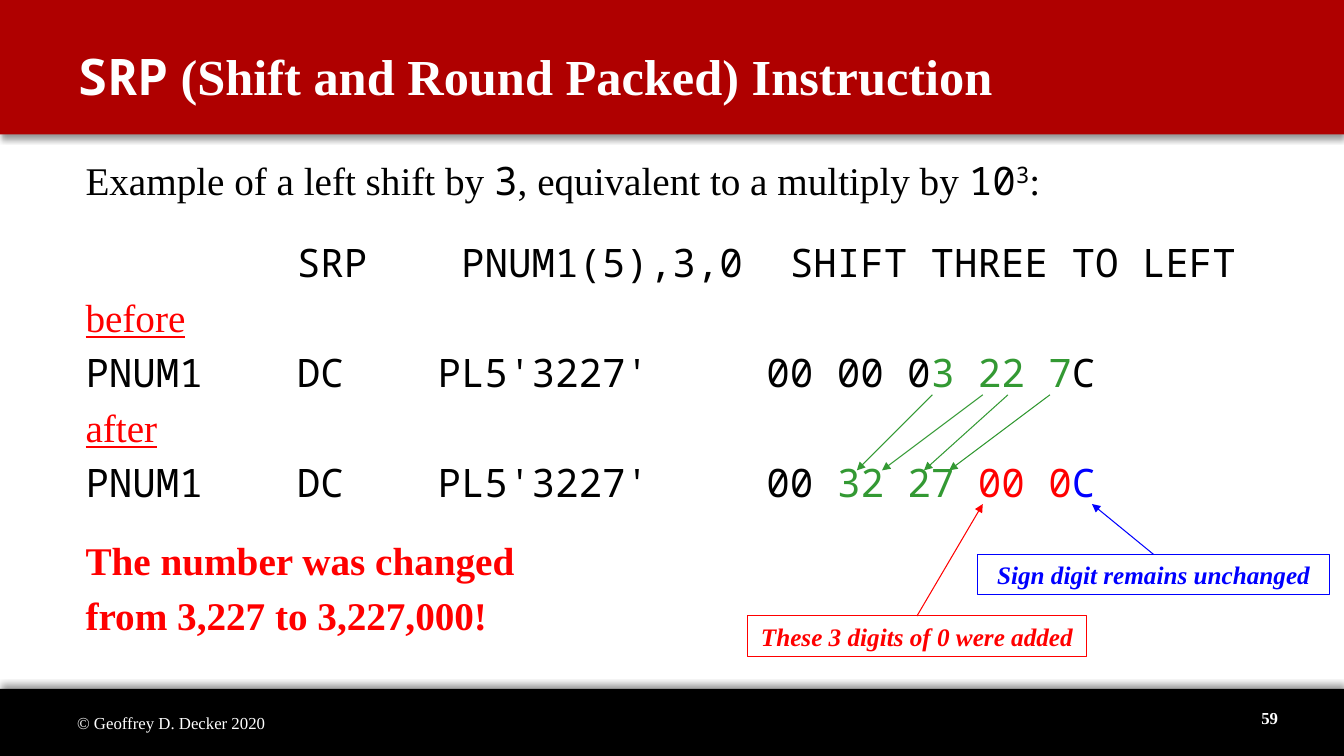
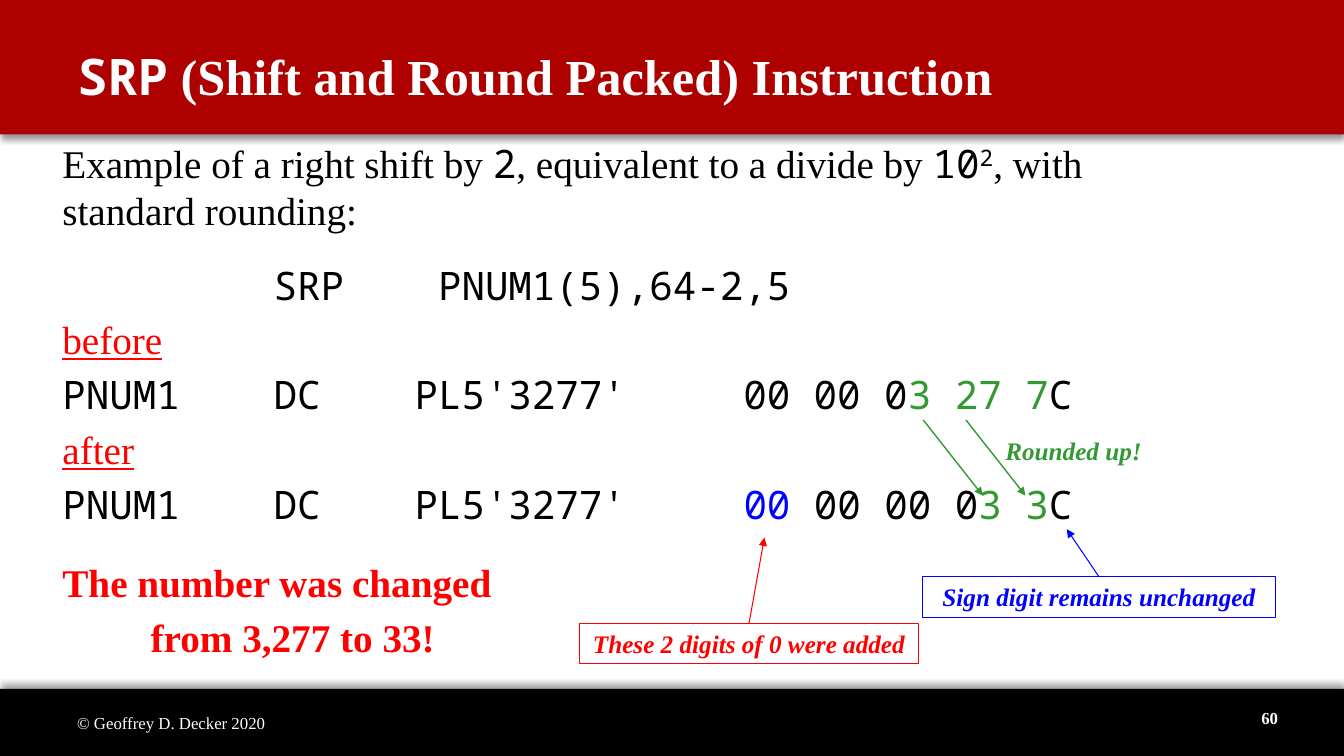
from lxml.etree import SubElement
from pptx import Presentation
from pptx.dml.color import RGBColor
from pptx.enum.shapes import MSO_CONNECTOR, MSO_SHAPE
from pptx.enum.text import MSO_ANCHOR, MSO_AUTO_SIZE, PP_ALIGN
from pptx.oxml.ns import qn
from pptx.util import Pt

BLACK = RGBColor(0x00, 0x00, 0x00)
WHITE = RGBColor(0xFF, 0xFF, 0xFF)
BAND_RED = RGBColor(0xAF, 0x00, 0x00)
RED = RGBColor(0xFF, 0x00, 0x00)
GREEN = RGBColor(0x33, 0x99, 0x33)
BLUE = RGBColor(0x00, 0x00, 0xFF)

SERIF, MONO = "Times New Roman", "Noto Sans Mono"
SLIDE_W, SLIDE_H = 960, 540
BODY_SIZE = 28
LINE_PITCH = 33.6
PARA_GAP = 5.6
CALLOUT_H = 28.8

# Run formats
PROSE = {"name": SERIF, "size": Pt(BODY_SIZE), "color": BLACK}
CODE = {**PROSE, "name": MONO}
POWER = {**CODE, "baseline": 30000}
STAGE = {**PROSE, "color": RED, "underline": True}
RESULT = {**PROSE, "color": RED, "bold": True}
TITLE = {"name": SERIF, "size": Pt(36), "color": WHITE, "bold": True}
FOOTER = {"name": SERIF, "size": Pt(12), "color": WHITE}
CALLOUT = {"name": SERIF, "size": Pt(18), "bold": True, "italic": True}


def code(text, color=BLACK):
    return text, {**CODE, "color": color}


def gap(size):
    """Space before a paragraph that starts a new group."""
    return 1.4 * size + PARA_GAP


def add_runs(paragraph, runs):
    for text, style in runs:
        if text == "\n":
            paragraph.add_line_break()
            continue
        run = paragraph.add_run()
        run.text = text
        for key, value in style.items():
            if key == "color":
                run.font.color.rgb = value
            elif key == "baseline":
                run.font._element.set("baseline", str(value))
            else:
                setattr(run.font, key, value)


def place(shape, box):
    for side, value in zip(("left", "top", "width", "height"), box):
        setattr(shape, side, Pt(value))


def add_text(slide, box, runs=(), align=PP_ALIGN.LEFT, anchor=MSO_ANCHOR.MIDDLE):
    text_box = slide.shapes.add_textbox(*map(Pt, box))
    frame = text_box.text_frame
    frame.word_wrap = True
    frame.vertical_anchor = anchor
    frame.paragraphs[0].alignment = align
    add_runs(frame.paragraphs[0], runs)
    return frame


def add_band(slide, box, color, shadow_angle):
    band = slide.shapes.add_shape(MSO_SHAPE.RECTANGLE, *map(Pt, box))
    band.fill.solid()
    band.fill.fore_color.rgb = color
    band.line.fill.background()
    band.shadow.inherit = False
    effects = band._element.spPr.find(qn("a:effectLst"))
    shadow = SubElement(effects, qn("a:outerShdw"), blurRad=str(Pt(4)),
                        dist=str(Pt(3)), dir=str(shadow_angle * 60000),
                        algn="ctr", rotWithShape="0")
    tint = SubElement(shadow, qn("a:srgbClr"), val=str(BLACK))
    SubElement(tint, qn("a:alpha"), val="40000")


def add_frame(slide, number):
    """Bands, title and footer shared by all slides."""
    add_band(slide, (0, 492, SLIDE_W, 48), BLACK, 270)
    add_band(slide, (0, 0, SLIDE_W, 96), BAND_RED, 90)

    # Title, brought in front of its band
    title = slide.shapes.title
    slide.shapes._spTree.append(title._element)
    place(title, (48, 12, 792, 84))
    title.text_frame.vertical_anchor = MSO_ANCHOR.MIDDLE
    heading = title.text_frame.paragraphs[0]
    heading.alignment = PP_ALIGN.LEFT
    add_runs(heading, [("SRP", {**TITLE, "name": MONO}),
                       (" (Shift and Round Packed) Instruction", TITLE)])

    # Footer
    add_text(slide, (48, 502, 304, 29), [("© Geoffrey D. Decker 2020", FOOTER)])
    add_text(slide, (776, 498, 144, 29), [(number, {**FOOTER, "bold": True})],
             align=PP_ALIGN.RIGHT)


def add_example(slide, box, lines):
    """Lines are (space before, left indent, runs)."""
    frame = add_text(slide, box, anchor=MSO_ANCHOR.TOP)
    for index, (before, indent, runs) in enumerate(lines):
        paragraph = frame.paragraphs[0] if index == 0 else frame.add_paragraph()
        if indent:
            paragraph._p.get_or_add_pPr().set("marL", str(Pt(indent)))
        paragraph.line_spacing = Pt(LINE_PITCH)
        paragraph.space_before = Pt(before)
        add_runs(paragraph, runs)


def add_arrow(slide, start, end, color, width=0.75, source=None):
    arrow = slide.shapes.add_connector(MSO_CONNECTOR.STRAIGHT, *map(Pt, start + end))
    if source is not None:
        arrow.begin_connect(source, 0)
    arrow.line.color.rgb = color
    arrow.line.width = Pt(width)
    SubElement(arrow.line._get_or_add_ln(), qn("a:tailEnd"), type="triangle")
    SubElement(arrow._element.spPr, qn("a:effectLst"))


def add_callout(slide, box, text, color, target):
    """Outlined note with an arrow from its top middle to the target."""
    note = slide.shapes.add_shape(MSO_SHAPE.RECTANGLE, *map(Pt, box))
    note.fill.background()
    note.line.color.rgb = color
    note.line.width = Pt(0.75)
    note.shadow.inherit = False
    frame = note.text_frame
    frame.word_wrap = True
    frame.auto_size = MSO_AUTO_SIZE.SHAPE_TO_FIT_TEXT
    frame.paragraphs[0].alignment = PP_ALIGN.CENTER
    add_runs(frame.paragraphs[0], [(text, {**CALLOUT, "color": color})])
    left, top, width, _ = box
    add_arrow(slide, (left + width / 2, top), target, color, source=note)


def add_notes_on_digits(slide, count, added_at, added_target, sign_at, sign_target):
    add_callout(slide, (*added_at, 242, CALLOUT_H),
                f"These {count} digits of 0 were added", RED, added_target)
    add_callout(slide, (*sign_at, 252, CALLOUT_H),
                "Sign digit remains unchanged", BLUE, sign_target)


def example_lines(intro, intro_gap, instruction, constant, before, after, result, indent=0):
    declaration = code(f"PNUM1    DC    PL5'{constant}'     ")
    return [
        (0, 0, intro),
        (gap(intro_gap), 0, [code("         SRP    " + instruction)]),
        (PARA_GAP, 0, [("before", STAGE)]),
        (PARA_GAP, 0, [declaration, *before]),
        (PARA_GAP, 0, [("after", STAGE)]),
        (PARA_GAP, 0, [declaration, *after]),
        (gap(12), 0, [("The number was changed", RESULT)]),
        (PARA_GAP, indent, [(result, RESULT)]),
    ]


def build_left_shift(slide):
    add_frame(slide, "59")
    intro = [("Example of a left shift by ", PROSE), code("3"),
             (", equivalent to a multiply by ", PROSE), code("10"),
             ("3", POWER), (":", PROSE)]
    add_example(slide, (54, 108, 885, 378), example_lines(
        intro, 14, "PNUM1(5),3,0  SHIFT THREE TO LEFT", "3227",
        [code("00 00 0"), code("3 22 7", GREEN), code("C")],
        [code("00 "), code("32 27 ", GREEN), code("00 0", RED), code("C", BLUE)],
        "from 3,227 to 3,227,000!"))
    add_notes_on_digits(slide, 3, (534, 440), (702, 360), (698, 396), (780, 360))

    # Digits moving left
    for old_x, new_x in ((666, 612), (702, 630), (720, 660), (750, 678)):
        add_arrow(slide, (old_x, 282), (new_x, 336), GREEN)


def build_right_shift(slide):
    add_frame(slide, "60")
    intro = [("Example of a right shift by ", PROSE), code("2"),
             (", equivalent to a divide by ", PROSE), code("10"),
             ("2", POWER), (", with", PROSE), ("\n", PROSE),
             ("standard rounding:", PROSE)]
    add_example(slide, (37.5, 96, 885, 389), example_lines(
        intro, 10, "PNUM1(5),64-2,5", "3277",
        [code("00 00 0"), code("3 27 7", GREEN), code("C")],
        [code("00", BLUE), code(" 00 00 0"), code("3 3", GREEN), code("C")],
        "from 3,277 to 33!", indent=63))
    add_notes_on_digits(slide, 2, (414, 445.5), (546, 384), (659, 412), (762, 378))

    # Digits moving right
    for old_x in (659.5, 690):
        add_arrow(slide, (old_x, 300), (old_x + 42.5, 354), GREEN, width=1)
    add_text(slide, (711, 307.5, 119, CALLOUT_H),
             [("Rounded up!", {**CALLOUT, "color": GREEN})])


def main():
    prs = Presentation()
    prs.slide_width, prs.slide_height = Pt(SLIDE_W), Pt(SLIDE_H)
    title_only = prs.slide_layouts[5]
    for build in (build_left_shift, build_right_shift):
        build(prs.slides.add_slide(title_only))
    prs.save("out.pptx")


if __name__ == "__main__":
    main()
